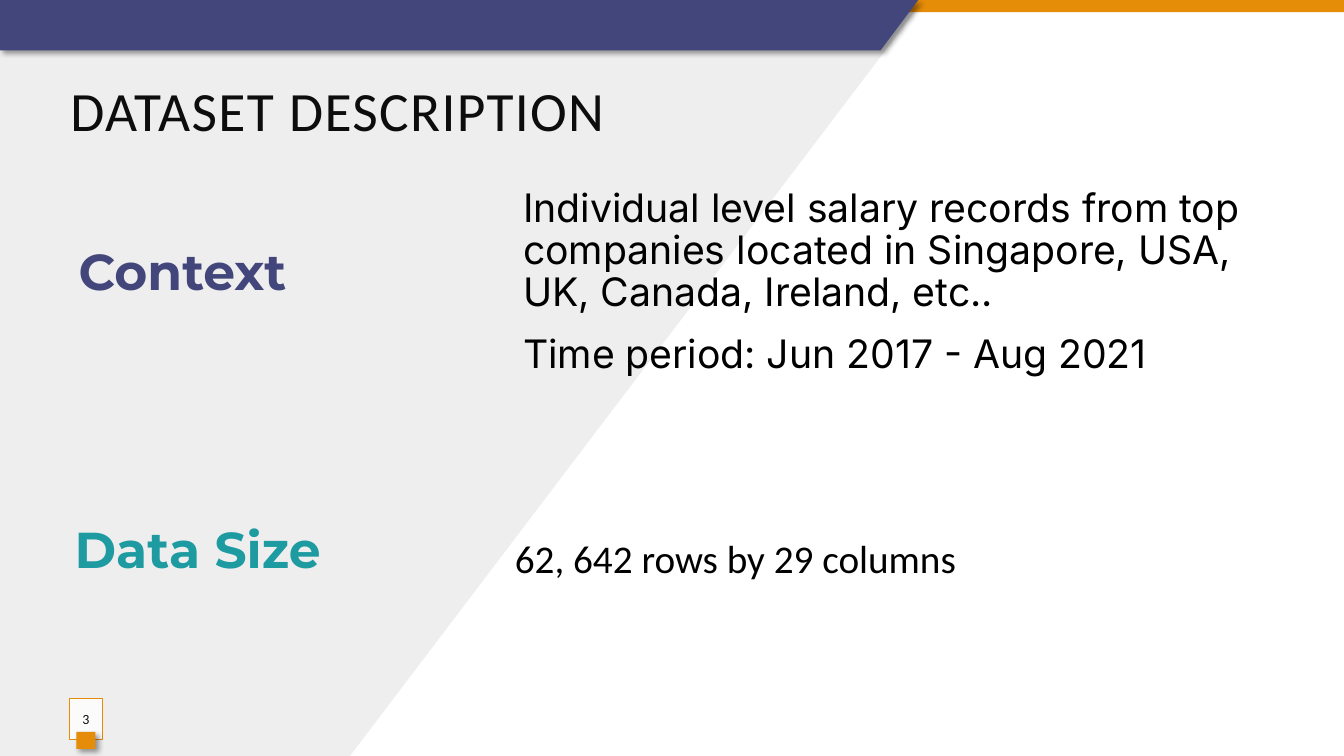
from lxml import etree
from pptx import Presentation
from pptx.dml.color import RGBColor
from pptx.enum.shapes import MSO_SHAPE
from pptx.enum.text import MSO_ANCHOR, PP_ALIGN
from pptx.oxml.ns import qn
from pptx.util import Pt

RECTANGLE = MSO_SHAPE.RECTANGLE
MIDDLE = MSO_ANCHOR.MIDDLE
LEFT, CENTER = PP_ALIGN.LEFT, PP_ALIGN.CENTER

WHITE = RGBColor(0xFF, 0xFF, 0xFF)
BLACK = RGBColor(0, 0, 0)
INK = RGBColor(0x0D, 0x0D, 0x0D)
GREY = RGBColor(0xEE, 0xEE, 0xEE)
ORANGE = RGBColor(0xE5, 0x8C, 0x09)
INDIGO = RGBColor(0x43, 0x46, 0x7B)
TEAL = RGBColor(0x1D, 0x9B, 0xA1)

PAGE_WIDTH, PAGE_HEIGHT = 960, 540


def paint(shape, color, shadow=False):
    shape.shadow.inherit = False
    shape.fill.solid()
    shape.fill.fore_color.rgb = color
    shape.line.fill.background()
    if shadow:
        effects = shape.element.spPr.find(qn("a:effectLst"))
        outer = etree.SubElement(
            effects, qn("a:outerShdw"), blurRad=str(Pt(4)), dist=str(Pt(3)),
            dir=str(45 * 60000), algn="tl", rotWithShape="0")
        shade = etree.SubElement(outer, qn("a:srgbClr"), val=str(BLACK))
        etree.SubElement(shade, qn("a:alpha"), val="40000")
    return shape


def add_rectangle(page, left, top, width, height, color, shadow=False):
    shape = page.shapes.add_shape(RECTANGLE, Pt(left), Pt(top), Pt(width), Pt(height))
    return paint(shape, color, shadow)


def add_outline(page, points, color, shadow=False):
    corners = [(Pt(x), Pt(y)) for x, y in points]
    builder = page.shapes.build_freeform(*corners[0])
    builder.add_line_segments(corners[1:], close=True)
    return paint(builder.convert_to_shape(), color, shadow)


def write_text(frame, *texts, font="Calibri", size=28, color=BLACK, bold=False,
               align=LEFT, line_spacing=None, gap_before=0, gap_after=0, tracking=0):
    frame.word_wrap = True
    frame.vertical_anchor = MIDDLE
    for index, text in enumerate(texts):
        para = frame.add_paragraph() if index else frame.paragraphs[0]
        para.alignment = align
        para.line_spacing = line_spacing
        para.space_before = Pt(gap_before if index else 0)
        para.space_after = Pt(gap_after)
        span = para.add_run()
        span.text = text
        span.font.name = font
        span.font.size = Pt(size)
        span.font.bold = bold
        span.font.color.rgb = color
        if tracking:
            span.font._element.set("spc", str(tracking * 100))


def add_text(page, left, top, width, height, *texts, **text_format):
    box = page.shapes.add_textbox(Pt(left), Pt(top), Pt(width), Pt(height))
    write_text(box.text_frame, *texts, **text_format)


def add_body(page, left, top, width, height, *texts, **text_format):
    add_text(page, left, top, width, height, *texts, line_spacing=0.9,
             gap_before=12, gap_after=2, **text_format)


def add_backdrop(page, width, height):
    edge = 656
    add_outline(page, [(0, 0), (edge, 0), (edge, 5), (250, height), (0, height)], GREY)
    add_rectangle(page, 0, 0, width, 8.8, ORANGE)
    add_outline(page, [(0, 0), (edge, 0), (edge - 27, 36), (0, 36)], INDIGO, shadow=True)


def add_page_number(page, left, top, width, height, number):
    frame_box = add_rectangle(page, left, top, width, height, WHITE)
    fill = frame_box.element.spPr.find(qn("a:solidFill"))
    etree.SubElement(fill[0], qn("a:alpha"), val="82000")
    frame_box.line.color.rgb = ORANGE
    frame_box.line.width = Pt(0.75)
    frame = frame_box.text_frame
    frame.margin_left = frame.margin_right = 0
    write_text(frame, number, size=10, color=INK, align=CENTER)
    tab_width = 13.7
    add_rectangle(page, left + (width - tab_width) / 2, top + height - 5.3,
                  tab_width, 12.2, ORANGE, shadow=True)


def add_context(page, left, top, width, height):
    add_body(page, left + 317.5, top, width - 317.5, height,
             "Individual level salary records from top companies located in "
             "Singapore, USA, UK, Canada, Ireland, etc..",
             "Time period: Jun 2017 - Aug 2021", font="Inter")
    add_body(page, left, top + 45.4, 170, 33, "Context",
             font="Montserrat", size=36, color=INDIGO, bold=True)


def add_data_size(page, left, top, width, height):
    add_body(page, left + 314.5, top, width - 314.5, height, "62, 642 rows by 29 columns")
    add_body(page, left, top + 13.6, 201.6, 33, "Data Size",
             font="Montserrat", size=36, color=TEAL, bold=True)


def main():
    deck = Presentation()
    deck.slide_width, deck.slide_height = Pt(PAGE_WIDTH), Pt(PAGE_HEIGHT)
    page = deck.slides.add_slide(deck.slide_layouts[6])
    add_backdrop(page, PAGE_WIDTH, PAGE_HEIGHT)
    add_text(page, 43.2, 50.4, 851, 55.4, "DATASET DESCRIPTION",
             size=39.6, color=INK, tracking=1)
    add_context(page, 49, 134, 844.5, 136)
    add_data_size(page, 46.2, 364.4, 739.3, 72)
    add_page_number(page, 49.5, 499, 23.8, 29, "3")
    deck.save("out.pptx")


if __name__ == "__main__":
    main()
